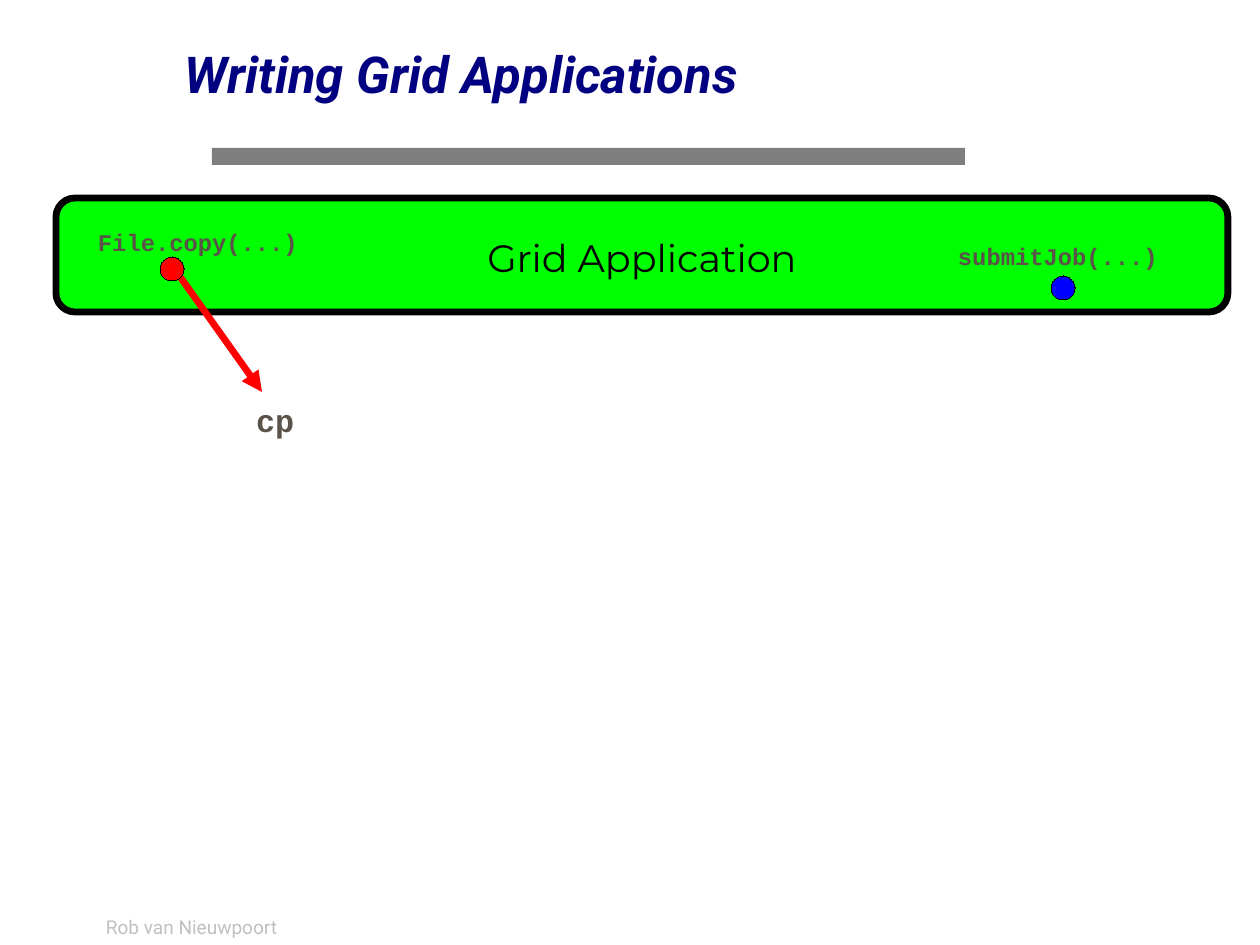
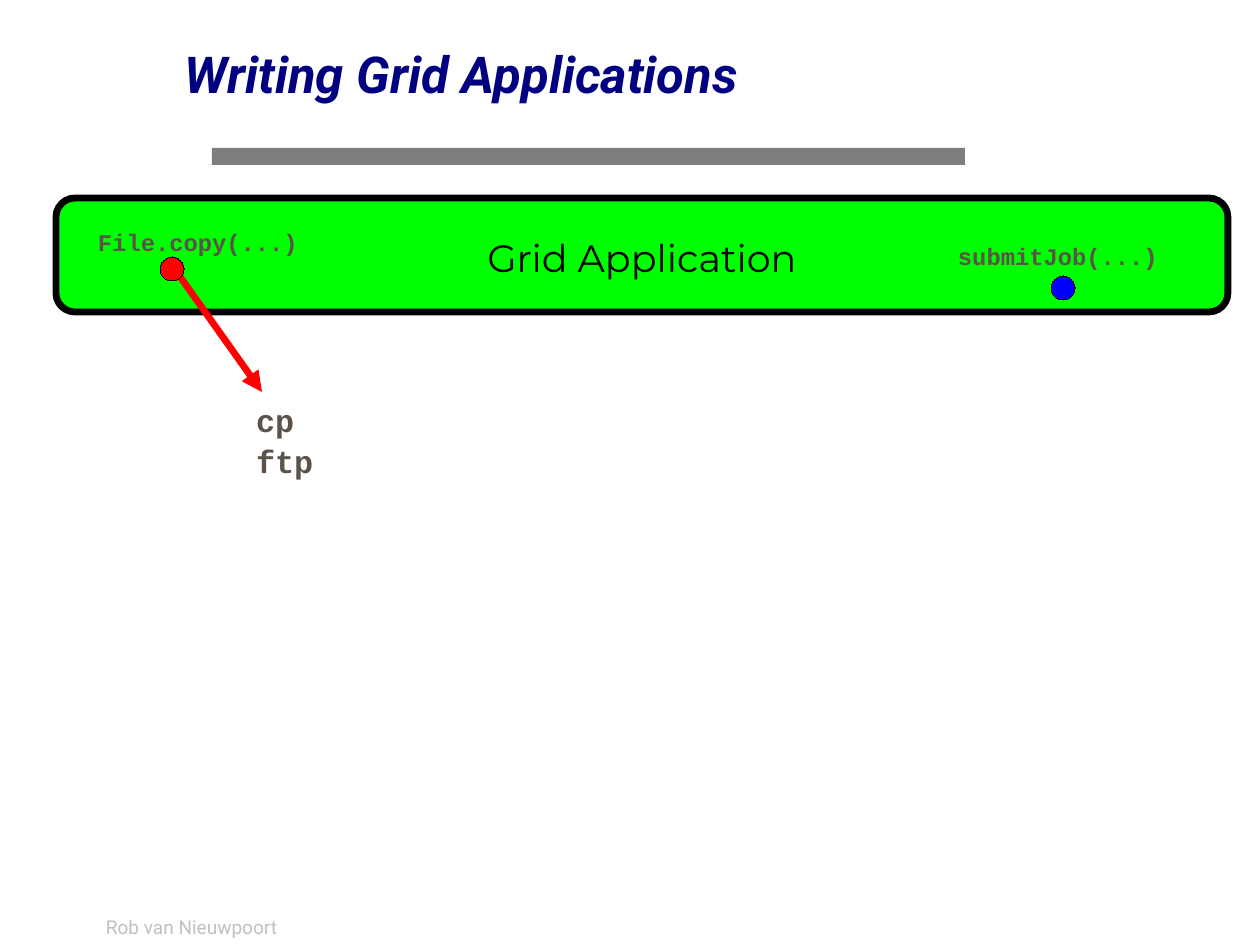
from dataclasses import dataclass

from lxml.etree import SubElement
from pptx import Presentation
from pptx.dml.color import RGBColor
from pptx.enum.shapes import MSO_CONNECTOR, MSO_SHAPE
from pptx.enum.text import MSO_ANCHOR, MSO_AUTO_SIZE, PP_ALIGN
from pptx.oxml.ns import qn
from pptx.util import Pt

# Content: file commands and the height of their box, per slide
TITLE = "Writing Grid Applications"
AUTHOR = "Rob van Nieuwpoort"
APPLICATION = "Grid Application"
COMMANDS = [(["cp"], 47), (["cp", "ftp"], 127)]

# Lengths in px
PX = 8000
SLIDE = (1260, 945)
TITLE_BOX = (185, 0, 790, 142)
BAND_BOX = (212, 148, 753, 17)
FOOTER_BOX = (95, 906, 278, 38)
APP_BOX = (56, 198, 1172, 114)
ARROW = (176, 271, 262, 392)
COMMAND_LEFT, COMMAND_TOP, COMMAND_W = 256, 398, 120
DOT = 24
CALL_W, CALL_H = 200, 34


@dataclass(frozen=True)
class Theme:
    navy: str = "000080"
    gray: str = "7E7E7E"
    silver: str = "C0C0C0"
    green: str = "00FF00"
    red: str = "FF0000"
    blue: str = "0000FF"
    black: str = "000000"
    brown: str = "5B5249"
    sans: str = "Roboto"
    display: str = "Montserrat"
    mono: str = "Courier New"
    title_size: int = 32
    app_size: int = 24
    command_size: int = 20
    call_size: int = 15
    footer_size: int = 12
    line_width: float = 4.31
    hairline: float = 0.01
    spacing: float = 1.08


T = Theme()

# Calls: text, label position, dot position, dot colour
CALLS = [
    ("File.copy(...)", (98, 225), (160, 257), T.red),
    ("submitJob(...)", (958, 240), (1051, 276), T.blue),
]


def emu(*lengths):
    return [n * PX for n in lengths]


def rgb(color):
    return RGBColor.from_string(color)


def write(sp, lines, font, size, color, bold=False, italic=False,
          align=PP_ALIGN.LEFT, anchor=MSO_ANCHOR.TOP, margins=(0, 0), wrap=True):
    tf = sp.text_frame
    tf.auto_size = MSO_AUTO_SIZE.NONE
    tf.word_wrap = wrap
    tf.vertical_anchor = anchor
    tf.margin_left = tf.margin_right = margins[0] * PX
    tf.margin_top = tf.margin_bottom = margins[1] * PX
    tf.text = "\n".join(lines)
    for p in tf.paragraphs:
        p.alignment = align
        p.line_spacing = T.spacing
        for r in p.runs:
            f = r.font
            f.name, f.size, f.bold, f.italic = font, Pt(size), bold, italic
            f.color.rgb = rgb(color)


def add_text(s, box, lines, *style, **options):
    write(s.shapes.add_textbox(*emu(*box)), lines, *style, **options)


def add_block(s, kind, box, fill, line_width=None):
    sp = s.shapes.add_shape(kind, *emu(*box))
    sp.shadow.inherit = False
    sp.fill.solid()
    sp.fill.fore_color.rgb = rgb(fill)
    if line_width is None:
        sp.line.fill.background()
    else:
        sp.line.color.rgb = rgb(T.black)
        sp.line.width = Pt(line_width)
    return sp


def add_arrow(s, ends, color):
    line = s.shapes.add_connector(MSO_CONNECTOR.STRAIGHT, *emu(*ends))
    line.line.color.rgb = rgb(color)
    line.line.width = Pt(T.line_width)
    sp_pr = line._element.spPr
    SubElement(sp_pr.find(qn("a:ln")), qn("a:tailEnd"), type="triangle")
    SubElement(sp_pr, qn("a:effectLst"))


def add_frame(prs):
    """New slide with the shared band, footer and title."""
    s = prs.slides.add_slide(prs.slide_layouts[5])
    add_block(s, MSO_SHAPE.RECTANGLE, BAND_BOX, T.gray)
    add_text(s, FOOTER_BOX, [AUTHOR], T.sans, T.footer_size, T.silver,
             anchor=MSO_ANCHOR.BOTTOM, margins=(11, 6))
    title = s.shapes.title
    title.left, title.top, title.width, title.height = emu(*TITLE_BOX)
    write(title, [TITLE], T.sans, T.title_size, T.navy, bold=True, italic=True,
          anchor=MSO_ANCHOR.MIDDLE)
    return s


def add_diagram(s, commands, height):
    # Application bar
    app = add_block(s, MSO_SHAPE.ROUNDED_RECTANGLE, APP_BOX, T.green, T.line_width)
    write(app, [APPLICATION], T.display, T.app_size, T.black,
          align=PP_ALIGN.CENTER, anchor=MSO_ANCHOR.MIDDLE, margins=(3, 3))

    # Calls with their dots, the arrow starting under the first dot
    add_arrow(s, ARROW, T.red)
    for call, label_at, dot_at, color in CALLS:
        add_block(s, MSO_SHAPE.OVAL, (*dot_at, DOT, DOT), color, T.hairline)
        add_text(s, (*label_at, CALL_W, CALL_H), [call], T.mono, T.call_size,
                 T.brown, bold=True, wrap=False)

    # Commands behind the file call
    add_text(s, (COMMAND_LEFT, COMMAND_TOP, COMMAND_W, height), commands,
             T.mono, T.command_size, T.brown, bold=True, wrap=False)


def main():
    prs = Presentation()
    prs.slide_width, prs.slide_height = emu(*SLIDE)
    for commands, height in COMMANDS:
        add_diagram(add_frame(prs), commands, height)
    prs.save("out.pptx")


if __name__ == "__main__":
    main()
